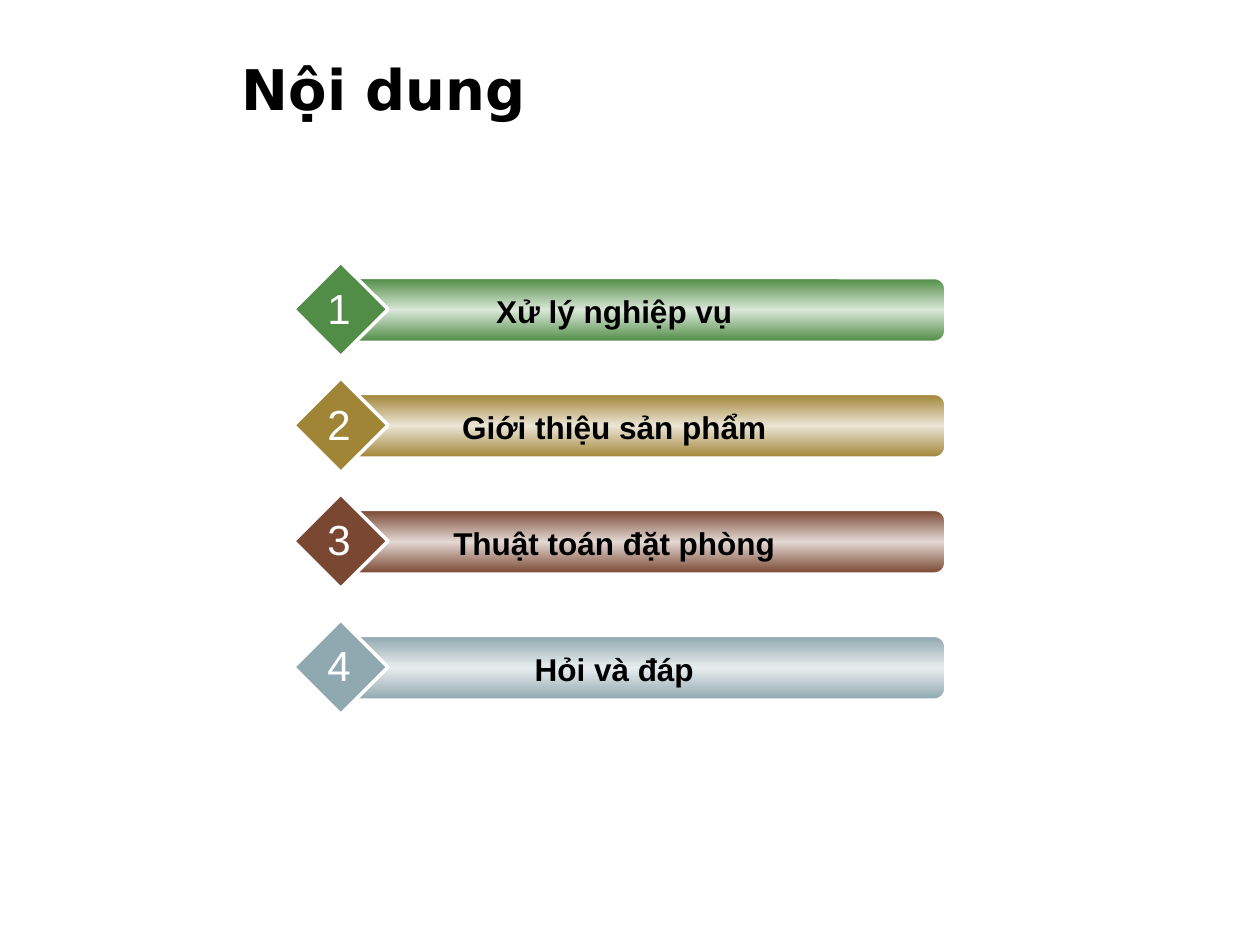
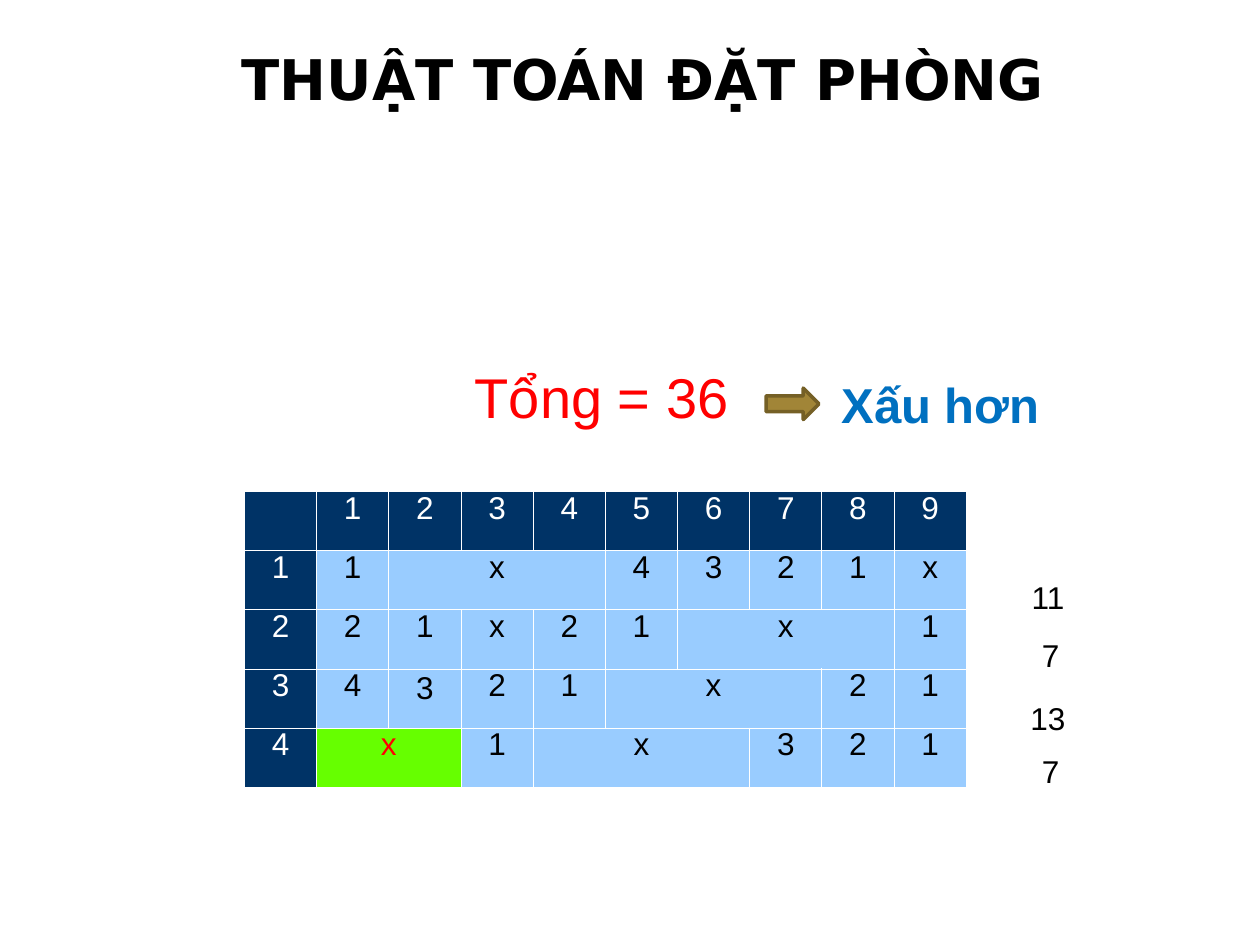
from copy import deepcopy

from lxml.etree import SubElement
from pptx import Presentation
from pptx.dml.color import RGBColor
from pptx.enum.shapes import MSO_SHAPE as Shape
from pptx.enum.text import MSO_ANCHOR as Anchor, MSO_AUTO_SIZE as AutoSize, PP_ALIGN as Align
from pptx.oxml.ns import qn
from pptx.util import Inches, Pt

COLORS = {
    "black": "000000", "white": "FFFFFF", "red": "FF0000", "blue": "0070C0",
    "navy": "003366", "sky": "99CCFF", "lime": "66FF00",
    "gold": "A18537", "gold_edge": "756026", "gold_pale": "EBE5D5",
    "green": "518D47", "green_pale": "DAE7D8",
    "brown": "7A4832", "brown_pale": "E3D8D4",
    "gray": "90A8B0", "gray_pale": "E7EDEE",
}
BODY_FONT, TITLE_FONT = "Arial", "DejaVu Sans"

AGENDA_TITLE = "Nội dung"
AGENDA = [
    ("Xử lý nghiệp vụ", "green", 2.08),
    ("Giới thiệu sản phẩm", "gold", 3.0),
    ("Thuật toán đặt phòng", "brown", 3.92),
    ("Hỏi và đáp", "gray", 4.92),
]

BOOKING_TITLE = "THUẬT TOÁN ĐẶT PHÒNG"
TOTAL, VERDICT = "Tổng = 36", "Xấu hơn"
MERGED = None
SCHEDULE = [
    ["", "1", "2", "3", "4", "5", "6", "7", "8", "9"],
    ["1", "1", "x", MERGED, MERGED, "4", "3", "2", "1", "x"],
    ["2", "2", "1", "x", "2", "1", "x", MERGED, MERGED, "1"],
    ["3", "4", "3", "2", "1", "x", MERGED, MERGED, "2", "1"],
    ["4", "x", MERGED, "1", "x", MERGED, MERGED, "3", "2", "1"],
]
NEW_BOOKING = (4, 1)
LOOSE_CELL = (3, 2)
ROOM_SUMS = [
    ("11", 8.09, 4.54, 0.47, 0.38),
    ("7", 8.17, 5.0, 0.39, 0.38),
    ("13", 8.08, 5.5, 0.39, 0.38),
    ("7", 8.17, 5.92, 0.45, 0.42),
]


def rgb(name):
    return RGBColor.from_string(COLORS[name])


def style_text(frame, size, color, bold=False, font=BODY_FONT, align=Align.LEFT):
    paragraph = frame.paragraphs[0]
    paragraph.alignment = align
    for run in paragraph.runs:
        run.font.name = font
        run.font.size = Pt(size)
        run.font.bold = bold
        run.font.color.rgb = rgb(color)


def add_text(shapes, text, box, size, color, wrap=False, grow=False, **style):
    frame = shapes.add_textbox(*map(Inches, box)).text_frame
    frame.text = text
    frame.word_wrap = wrap
    frame.auto_size = AutoSize.SHAPE_TO_FIT_TEXT if grow else AutoSize.NONE
    style_text(frame, size, color, **style)
    return frame


def add_title(slide, text, top):
    frame = add_text(slide.shapes, text, (1.82, top, 8.18, 0.62), 32, "black",
                     wrap=True, bold=True, font=TITLE_FONT)
    frame.vertical_anchor = Anchor.MIDDLE


def add_block(shapes, preset, box, color, edge, edge_width):
    block = shapes.add_shape(preset, *map(Inches, box))
    block.shadow.inherit = False
    block.fill.solid()
    block.fill.fore_color.rgb = rgb(color)
    block.line.color.rgb = rgb(edge)
    block.line.width = Pt(edge_width)
    return block


def shade(bar, color):
    bar.fill.gradient()
    bar.fill.gradient_angle = 270
    stop_list = bar._element.spPr.find(qn("a:gradFill")).find(qn("a:gsLst"))
    stop_list.insert(1, deepcopy(stop_list[0]))
    stops = zip(bar.fill.gradient_stops, (0, 0.5, 1), (color, color + "_pale", color))
    for stop, position, stop_color in stops:
        stop.position = position
        stop.color.rgb = rgb(stop_color)


def add_agenda_item(slide, number, label, color, top):
    shapes = slide.shapes.add_group_shape().shapes
    bar = add_block(shapes, Shape.ROUNDED_RECTANGLE, (2.75, top + 0.13, 4.75, 0.5),
                    color, "white", 1)
    shade(bar, color)
    add_block(shapes, Shape.DIAMOND, (2.33, top, 0.75, 0.75), color, "white", 2)
    add_text(shapes, label, (3, top + 0.19, 3.75, 0.4), 18, "black",
             wrap=True, grow=True, bold=True, align=Align.CENTER)
    add_text(shapes, str(number), (2.5, top + 0.11, 0.38, 0.5), 24, "white",
             grow=True, align=Align.CENTER)


def add_borders(cell):
    properties = cell._tc.get_or_add_tcPr()
    for side in ("a:lnL", "a:lnR", "a:lnT", "a:lnB"):
        line = SubElement(properties, qn(side), w=str(Pt(0.57)))
        fill = SubElement(line, qn("a:solidFill"))
        SubElement(fill, qn("a:srgbClr"), val=COLORS["white"])


def cell_colors(row, column):
    if row == 0 or column == 0:
        return "navy", "white"
    if (row, column) == NEW_BOOKING:
        return "lime", "red"
    return "sky", "black"


def add_schedule(slide):
    row_count, column_count = len(SCHEDULE), len(SCHEDULE[0])
    table = slide.shapes.add_table(row_count, column_count, Inches(1.94), Inches(3.9),
                                   Inches(5.73), Inches(2.35)).table
    for column in table.columns:
        column.width = Inches(0.573)
    for row in table.rows:
        row.height = Inches(0.47)
    for r, values in enumerate(SCHEDULE):
        for c, value in enumerate(values):
            cell = table.cell(r, c)
            background, ink = cell_colors(r, c)
            add_borders(cell)
            cell.fill.solid()
            cell.fill.fore_color.rgb = rgb(background)
            if value is MERGED:
                continue
            end = c
            while end + 1 < column_count and values[end + 1] is MERGED:
                end += 1
            if end > c:
                cell.merge(table.cell(r, end))
            cell.text_frame.text = value
            style_text(cell.text_frame, 18, ink, align=Align.CENTER)
            spacing = 0.87 if (r, c) == LOOSE_CELL else 0.76
            cell.text_frame.paragraphs[0].line_spacing = spacing


def build_agenda(slide):
    add_title(slide, AGENDA_TITLE, 0.39)
    for number, item in enumerate(AGENDA, 1):
        add_agenda_item(slide, number, *item)


def build_booking(slide):
    add_title(slide, BOOKING_TITLE, 0.31)
    for room_sum, *box in ROOM_SUMS:
        add_text(slide.shapes, room_sum, box, 18, "black")
    add_text(slide.shapes, TOTAL, (3.67, 2.83, 2.75, 0.75), 32, "red")
    add_text(slide.shapes, VERDICT, (6.58, 2.92, 1.67, 0.58), 28, "blue", bold=True)
    add_block(slide.shapes, Shape.RIGHT_ARROW, (6.08, 3.08, 0.42, 0.25),
              "gold", "gold_edge", 2)
    add_schedule(slide)


def main():
    deck = Presentation()
    deck.slide_width, deck.slide_height = Inches(10), Inches(7.5)
    for build in (build_agenda, build_booking):
        build(deck.slides.add_slide(deck.slide_layouts[6]))
    deck.save("out.pptx")


if __name__ == "__main__":
    main()
